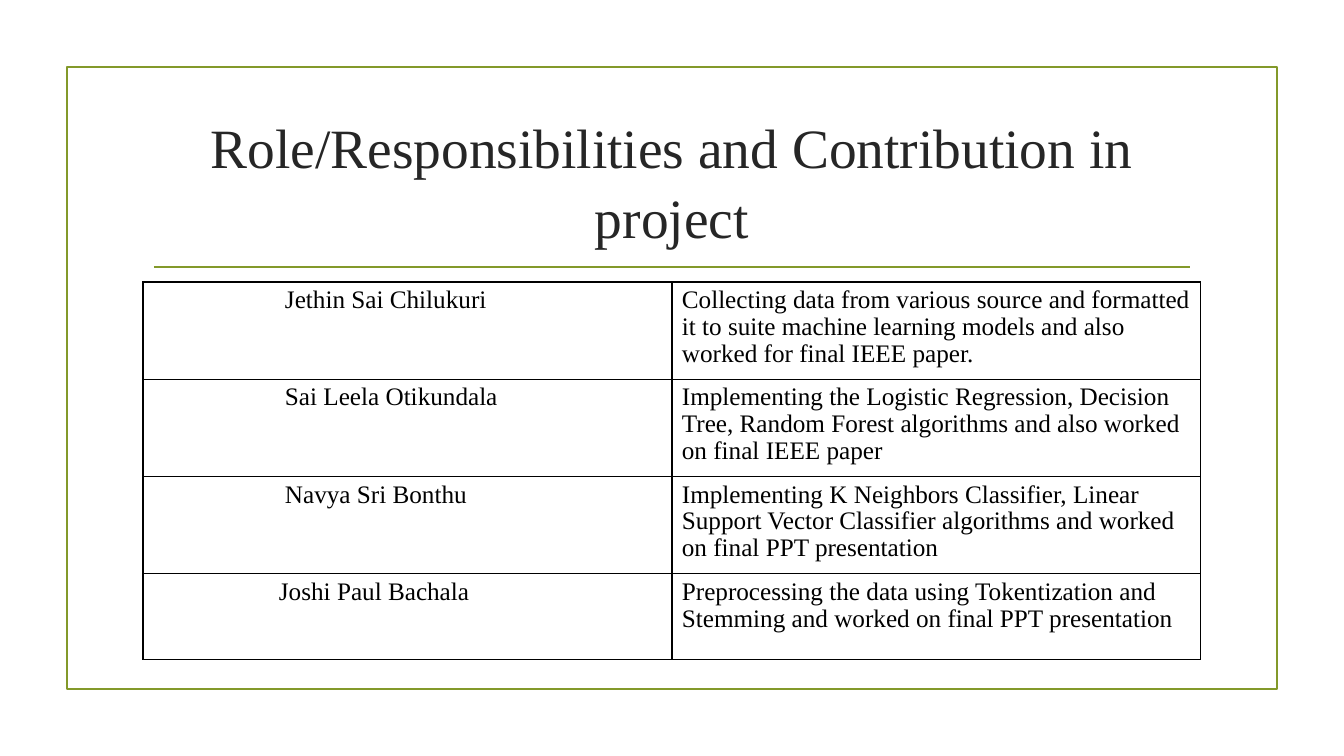
from lxml.etree import SubElement
from pptx import Presentation
from pptx.dml.color import RGBColor
from pptx.enum.shapes import MSO_CONNECTOR, MSO_SHAPE
from pptx.enum.text import MSO_ANCHOR, PP_ALIGN
from pptx.oxml.ns import qn
from pptx.util import Pt

EMU_PER_PX = 914400 / 100.8
FONT = "Times New Roman"
COLORS = {"olive": "83992A", "title": "262626", "ink": "000000", "paper": "FFFFFF"}

# Member, indent of the name in px, contribution, row height in px
MEMBERS = [
    ("Jethin Sai Chilukuri", 142,
     "Collecting data from various source and formatted it to suite machine "
     "learning models and also worked for final IEEE paper.", 94),
    ("Sai Leela Otikundala", 142,
     "Implementing the Logistic Regression, Decision Tree, Random Forest "
     "algorithms and also worked on final IEEE paper", 94),
    ("Navya Sri Bonthu", 142,
     "Implementing K Neighbors Classifier, Linear Support Vector Classifier "
     "algorithms and worked on final PPT presentation", 94),
    ("Joshi Paul Bachala", 136,
     "Preprocessing the data using Tokentization and Stemming and worked on "
     "final PPT presentation", 86),
]


def px(length):
    return round(length * EMU_PER_PX)


def color(name):
    return RGBColor.from_string(COLORS[name])


def format_text(paragraph, size, ink, spacing):
    paragraph.line_spacing = spacing
    for run in paragraph.runs:
        run.font.name = FONT
        run.font.size = Pt(size)
        run.font.color.rgb = color(ink)


def add_frame(slide, left, top, width, height):
    frame = slide.shapes.add_shape(
        MSO_SHAPE.RECTANGLE, px(left), px(top), px(width), px(height))
    frame.shadow.inherit = False
    frame.fill.background()
    frame.line.color.rgb = color("olive")
    frame.line.width = Pt(1.25)


def add_heading(slide, left, top, width, height):
    heading = slide.shapes.add_textbox(px(left), px(top), px(width), px(height))
    text_frame = heading.text_frame
    text_frame.word_wrap = True
    text_frame.vertical_anchor = MSO_ANCHOR.MIDDLE
    text_frame.text = "Role/Responsibilities and Contribution in project"
    text_frame.paragraphs[0].alignment = PP_ALIGN.CENTER
    format_text(text_frame.paragraphs[0], 39.6, "title", 1.04)

    # Rule under the heading
    inset, rule_y = 11, px(top + height + 15)
    rule = slide.shapes.add_connector(
        MSO_CONNECTOR.STRAIGHT, px(left + inset), rule_y,
        px(left + width - inset), rule_y)
    rule.line.color.rgb = color("olive")
    rule.line.width = Pt(1.25)
    SubElement(rule._element.spPr, qn("a:effectLst"))


def add_borders(cell):
    properties = cell._tc.get_or_add_tcPr()
    for position, side in enumerate(("a:lnL", "a:lnR", "a:lnT", "a:lnB")):
        border = SubElement(properties, qn(side), w=str(Pt(1)))
        fill = SubElement(border, qn("a:solidFill"))
        SubElement(fill, qn("a:srgbClr"), val=COLORS["ink"])
        properties.insert(position, border)


def add_contributions(slide, left, top, width, height):
    contributions = slide.shapes.add_table(
        len(MEMBERS), 2, px(left), px(top), px(width), px(height)).table
    contributions.first_row = False
    contributions.horz_banding = False
    for column in contributions.columns:
        column.width = px(width / 2)
    for row, (member, indent, work, row_height) in zip(contributions.rows, MEMBERS):
        row.height = px(row_height)
        for cell, text, margin in zip(row.cells, (member, work), (indent, 10)):
            cell.text = text
            cell.margin_left = px(margin)
            cell.fill.solid()
            cell.fill.fore_color.rgb = color("paper")
            format_text(cell.text_frame.paragraphs[0], 18, "ink", 0.96)
            add_borders(cell)


def main():
    presentation = Presentation()
    presentation.slide_width, presentation.slide_height = px(1344), px(756)
    slide = presentation.slides.add_slide(presentation.slide_layouts[6])
    add_frame(slide, 67, 67, 1210, 622)
    add_heading(slide, 143, 108, 1058, 144)
    add_contributions(slide, 143, 282, 1058, sum(row[3] for row in MEMBERS))
    presentation.save("out.pptx")


if __name__ == "__main__":
    main()
